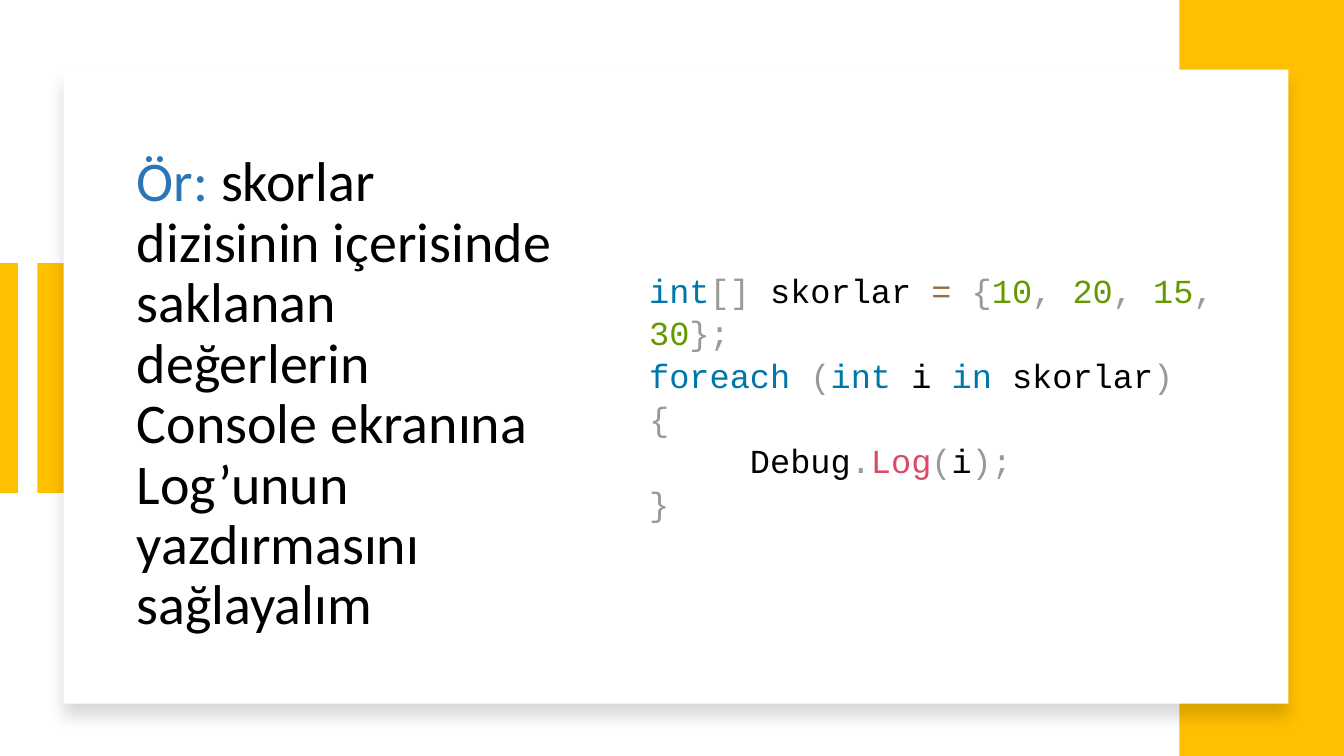
import dataclasses

import lxml.etree
import pptx
import pptx.dml.color
import pptx.enum.shapes
import pptx.enum.text
import pptx.oxml
import pptx.oxml.ns
import pptx.util


@dataclasses.dataclass(frozen=True)
class Theme:
    """Colours, fonts and type sizes of the slide."""
    accent: str = "FFC000"
    card: str = "FFFFFF"
    label: str = "2E75B6"
    plain: str = "000000"
    keyword: str = "0077AA"
    mark: str = "999999"
    operator: str = "9A6E3A"
    number: str = "669900"
    method: str = "DD4A68"
    title_font: str = "Calibri"
    code_font: str = "Courier New"
    title_size: int = 40
    code_size: int = 24
    stripe_width: int = 14


THEME = Theme()
WIDTH = pptx.util.Inches(13.333)
HEIGHT = pptx.util.Inches(7.5)

TITLE = [[
    ("Ör: ", THEME.label),
    ("skorlar dizisinin içerisinde saklanan değerlerin Console ekranına "
     "Log’unun yazdırmasını sağlayalım", THEME.plain),
]]
CODE = [
    [("int", THEME.keyword), ("[]", THEME.mark), (" skorlar ", THEME.plain),
     ("= ", THEME.operator), ("{", THEME.mark), ("10", THEME.number),
     (", ", THEME.mark), ("20", THEME.number), (", ", THEME.mark),
     ("15", THEME.number), (", ", THEME.mark), ("30", THEME.number),
     ("};", THEME.mark)],
    [("foreach ", THEME.keyword), ("(", THEME.mark), ("int", THEME.keyword),
     (" i ", THEME.plain), ("in", THEME.keyword), (" skorlar", THEME.plain),
     (")", THEME.mark)],
    [("{", THEME.mark)],
    [("     Debug", THEME.plain), (".", THEME.mark), ("Log", THEME.method),
     ("(", THEME.mark), ("i", THEME.plain), (");", THEME.mark)],
    [("}", THEME.mark)],
]


def across(percent):
    """Return a share of the slide's width."""
    return int(WIDTH * percent / 100)


def down(percent):
    """Return a share of the slide's height."""
    return int(HEIGHT * percent / 100)


def place(left, top, width, height):
    """Turn percentages into a position and size."""
    return across(left), down(top), across(width), down(height)


def rgb(colour):
    """Return the colour object for a hex string."""
    return pptx.dml.color.RGBColor.from_string(colour)


def add_block(page, area, colour):
    """Add a plain filled rectangle."""
    block = page.shapes.add_shape(
        pptx.enum.shapes.MSO_SHAPE.RECTANGLE, *place(*area))
    block.fill.solid()
    block.fill.fore_color.rgb = rgb(colour)
    block.line.fill.background()
    block.shadow.inherit = False
    return block


def add_soft_shadow(block):
    """Give a block a soft shadow that falls downwards."""
    effects = block._element.spPr.find(pptx.oxml.ns.qn("a:effectLst"))
    effects.append(pptx.oxml.parse_xml(
        f'<a:outerShdw {pptx.oxml.ns.nsdecls("a")} blurRad="139700" '
        'dist="127000" dir="5400000" algn="t" rotWithShape="0">'
        '<a:srgbClr val="000000"><a:alpha val="15000"/></a:srgbClr>'
        '</a:outerShdw>'))


def add_stripe(page, left, top, bottom):
    """Add a thick vertical accent line."""
    stripe = page.shapes.add_connector(
        pptx.enum.shapes.MSO_CONNECTOR.STRAIGHT,
        across(left), down(top), across(left), down(bottom))
    stripe.line.color.rgb = rgb(THEME.accent)
    stripe.line.width = pptx.util.Pt(THEME.stripe_width)
    lxml.etree.SubElement(
        stripe._element.spPr, pptx.oxml.ns.qn("a:effectLst"))


def add_coloured_text(page, area, lines, font, size, spacing, inset):
    """Add a vertically centred box of paragraphs with coloured spans."""
    box = page.shapes.add_textbox(*place(*area))
    frame = box.text_frame
    frame.word_wrap = True
    frame.vertical_anchor = pptx.enum.text.MSO_ANCHOR.MIDDLE
    frame.margin_left = frame.margin_right = pptx.util.Inches(inset)
    for index, line in enumerate(lines):
        para = frame.add_paragraph() if index else frame.paragraphs[0]
        para.line_spacing = spacing
        for words, colour in line:
            span = para.add_run()
            span.text = words
            span.font.name = font
            span.font.size = pptx.util.Pt(size)
            span.font.color.rgb = rgb(colour)


def main():
    """Build the slide and save it."""
    deck = pptx.Presentation()
    deck.slide_width, deck.slide_height = WIDTH, HEIGHT
    page = deck.slides.add_slide(deck.slide_layouts[6])
    add_block(page, (2.78, 34.8, 2.55, 30.4), THEME.accent)
    add_stripe(page, 0.6, 34.8, 65.2)
    add_block(page, (87.75, 0, 12.25, 100), THEME.accent)
    add_soft_shadow(add_block(page, (4.73, 9.2, 91.13, 83.87), THEME.card))
    add_coloured_text(page, (9.45, 18.13, 32.85, 68.27), TITLE,
                      THEME.title_font, THEME.title_size, 0.9, 0.1)
    add_coloured_text(page, (48.3, 18.13, 45.6, 68.27), CODE,
                      THEME.code_font, THEME.code_size, 1.06, 0)
    deck.save("out.pptx")


if __name__ == "__main__":
    main()
